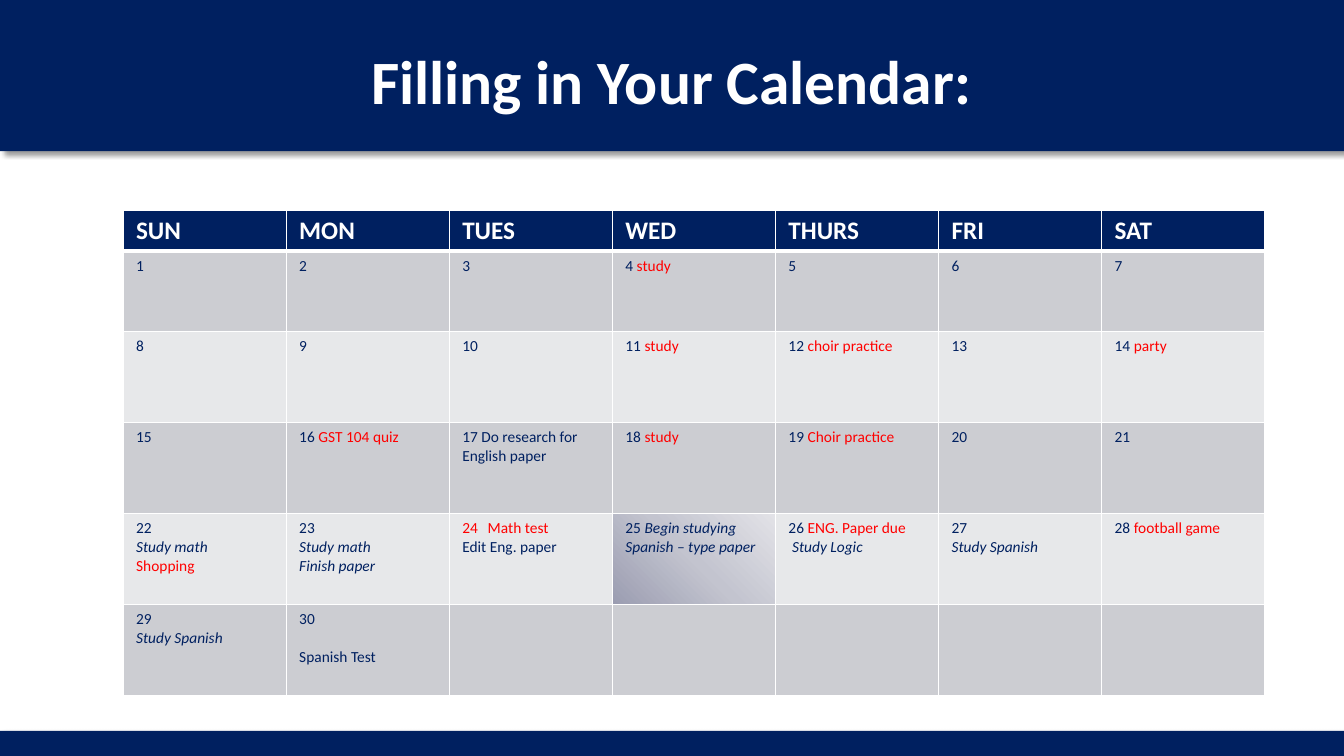
from lxml import etree
from pptx import Presentation
from pptx.dml.color import RGBColor
from pptx.enum.shapes import MSO_SHAPE
from pptx.enum.text import MSO_ANCHOR, PP_ALIGN
from pptx.oxml.ns import qn
from pptx.util import Cm, Pt

RECTANGLE = MSO_SHAPE.RECTANGLE
MIDDLE = MSO_ANCHOR.MIDDLE
CENTER = PP_ALIGN.CENTER
NAVY, WHITE, RED = "002060", "FFFFFF", "FF0000"
BANDS = ["CCCDD2", "E7E8EA"]
PLAIN = {}
EVENT = {"color": RED}
STUDY = {"italic": True}

DAYS = ["SUN", "MON", "TUES", "WED", "THURS", "FRI", "SAT"]
ROW_HEIGHTS = [1.04, 2.03, 2.29, 2.29, 2.29, 2.29]
ENTRIES = {
    4: [("study", EVENT)],
    11: [("study", EVENT)],
    12: [("choir practice", EVENT)],
    14: [("party", EVENT)],
    16: [("GST 104 quiz", EVENT)],
    17: [("Do research for English paper", PLAIN)],
    18: [("study", EVENT)],
    19: [("Choir practice", EVENT)],
    22: [None, ("Study math", STUDY), ("Shopping", EVENT)],
    23: [None, ("Study math", STUDY), ("Finish paper", STUDY)],
    24: [("Math test", EVENT), ("Edit Eng. paper", PLAIN)],
    25: [("Begin studying Spanish – type paper", STUDY)],
    26: [("ENG. Paper due", EVENT), ("Study Logic", STUDY)],
    27: [None, ("Study Spanish", STUDY)],
    28: [("football game", EVENT)],
    29: [None, ("Study Spanish", STUDY)],
    30: [None, ("Spanish Test", PLAIN)],
}


def add_text(p, text, size=11, color=NAVY, bold=False, italic=False):
    r = p.add_run()
    r.text = text
    r.font.name = "Calibri"
    r.font.size = Pt(size)
    r.font.bold = bold
    r.font.italic = italic
    r.font.color.rgb = RGBColor.from_string(color)


def add_xml(parent, tag, **attributes):
    child = etree.SubElement(parent, qn(tag))
    for name, value in attributes.items():
        child.set(name, str(value))
    return child


prs = Presentation()
prs.slide_width, prs.slide_height = Cm(33.87), Cm(19.05)
s = prs.slides.add_slide(prs.slide_layouts[5])

for top, height in [(18.42, 0.63), (0, 3.81)]:
    bar = s.shapes.add_shape(RECTANGLE, 0, Cm(top), prs.slide_width, Cm(height))
    bar.fill.solid()
    bar.fill.fore_color.rgb = RGBColor.from_string(NAVY)
    bar.line.fill.background()
    bar.shadow.inherit = False
    effects = bar._element.spPr.find(qn("a:effectLst"))
    shadow = add_xml(effects, "a:outerShdw", blurRad=Pt(4), dist=Pt(3), dir=45 * 60000)
    add_xml(add_xml(shadow, "a:srgbClr", val="000000"), "a:alpha", val=40000)

title = s.shapes.title
title.left, title.top, title.width, title.height = Cm(1.69), Cm(0.43), Cm(30.48), Cm(3.18)
title.text_frame.vertical_anchor = MIDDLE
p = title.text_frame.paragraphs[0]
p.alignment = CENTER
add_text(p, "Filling in Your Calendar:", size=44, color=WHITE, bold=True)
s.shapes._spTree.append(title._element)

frame = s.shapes.add_table(len(ROW_HEIGHTS), len(DAYS), Cm(3.1), Cm(5.29),
                           Cm(28.78), Cm(sum(ROW_HEIGHTS)))
calendar = frame.table
calendar.horz_banding = False
for column in calendar.columns:
    column.width = Cm(4.11)

for week, height in enumerate(ROW_HEIGHTS):
    calendar.rows[week].height = Cm(height)
    for weekday, name in enumerate(DAYS):
        cell = calendar.cell(week, weekday)
        cell.margin_left = cell.margin_right = Cm(0.33)
        cell.margin_top = cell.margin_bottom = Cm(0.13)
        tcPr = cell._tc.get_or_add_tcPr()
        for side in "LRTB":
            thick = (week, side) in [(0, "B"), (1, "T")]
            border = add_xml(tcPr, f"a:ln{side}", w=Pt(3 if thick else 1))
            add_xml(add_xml(border, "a:solidFill"), "a:srgbClr", val=WHITE)

        day = 7 * (week - 1) + weekday + 1
        if day == 25:
            gradient = add_xml(tcPr, "a:gradFill", rotWithShape=1)
            stops = add_xml(gradient, "a:gsLst")
            for position, color in [(0, "9B9DB1"), (50, "C3C4CF"), (100, "E2E2E7")]:
                stop = add_xml(stops, "a:gs", pos=position * 1000)
                add_xml(stop, "a:srgbClr", val=color)
            path = add_xml(gradient, "a:path", path="circle")
            add_xml(path, "a:fillToRect", t=100000, r=100000)
        else:
            cell.fill.solid()
            color = BANDS[(week - 1) % 2] if week else NAVY
            cell.fill.fore_color.rgb = RGBColor.from_string(color)

        tf = cell.text_frame
        p = tf.paragraphs[0]
        if week == 0:
            add_text(p, name, size=18, color=WHITE, bold=True)
            continue
        if day > 30:
            continue
        first, *others = ENTRIES.get(day, [None])
        if day == 24:
            pPr = p._p.get_or_add_pPr()
            pPr.set("marL", str(Cm(0.64)))
            pPr.set("indent", str(-Cm(0.64)))
            add_xml(pPr, "a:buFont", typeface="+mj-lt")
            add_xml(pPr, "a:buAutoNum", type="arabicPlain", startAt=day)
        else:
            add_text(p, f"{day} " if first else str(day))
        if first:
            add_text(p, first[0], **first[1])
        for text, style in others:
            p = tf.add_paragraph()
            add_text(p, text, **style)
            if day == 26:
                p._p.get_or_add_pPr().set("marL", str(Cm(0.09)))
            if day == 30:
                p.space_before = Pt(13.4)

prs.save("out.pptx")
